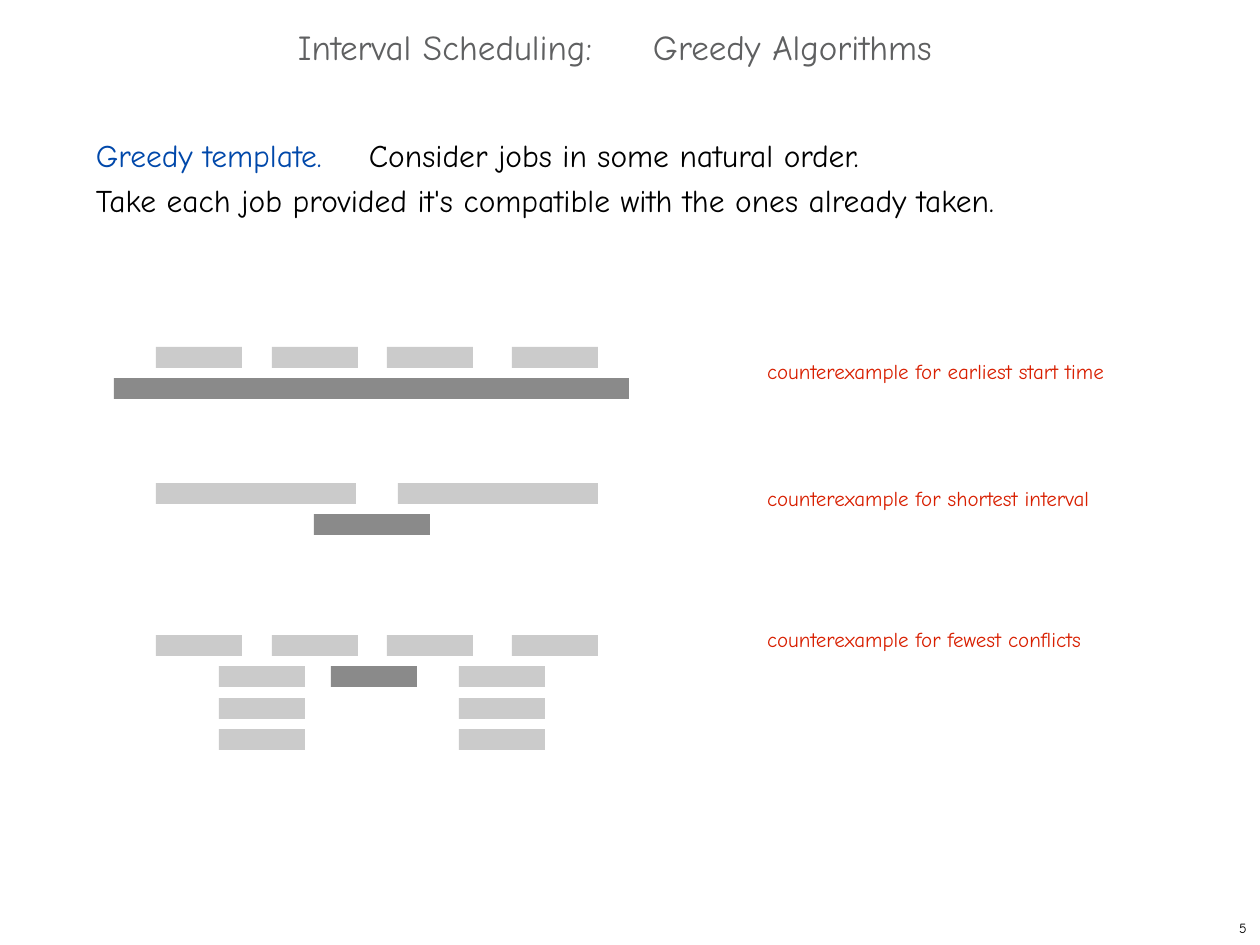
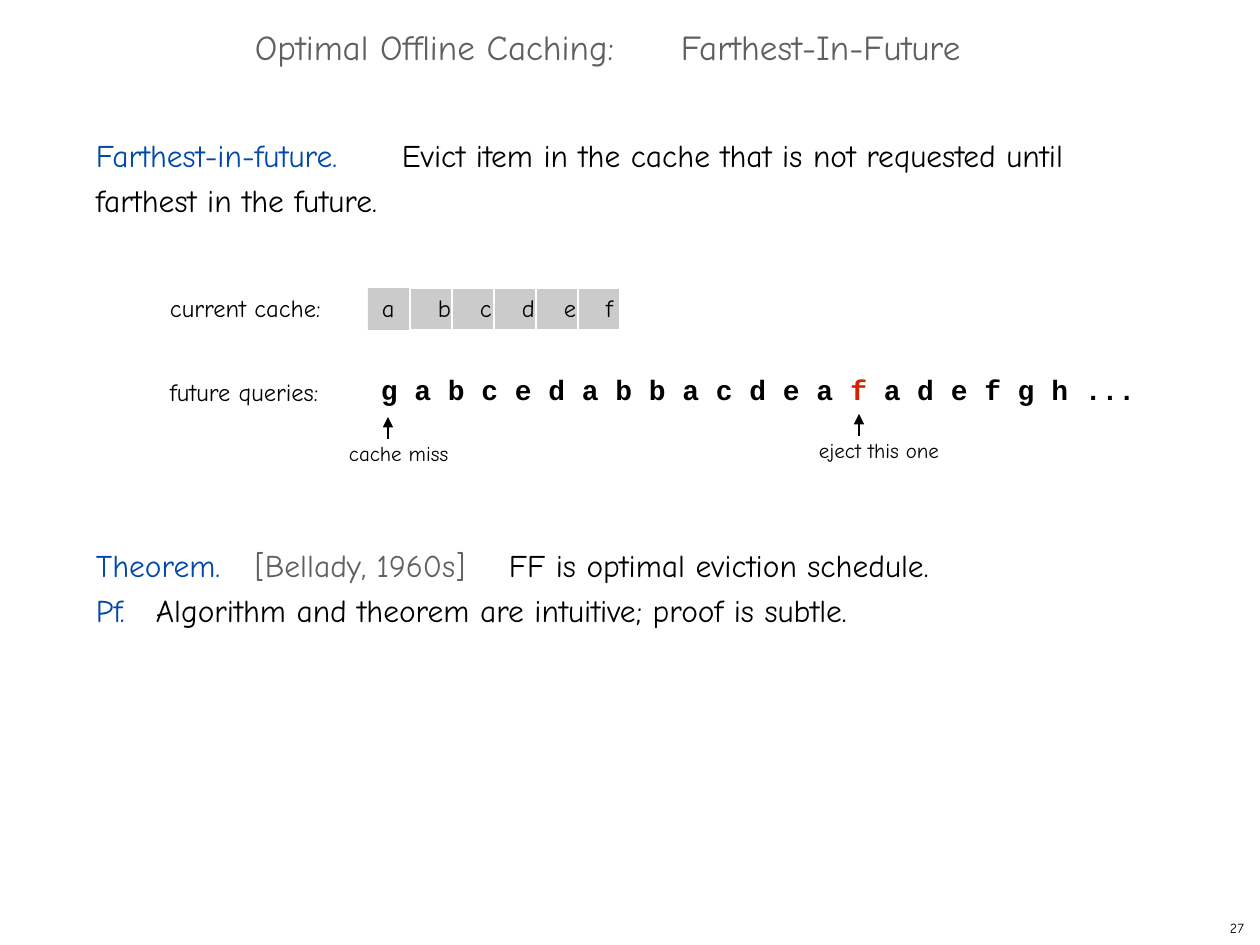
from lxml import etree
from pptx import Presentation
from pptx import util as u
from pptx.dml.color import RGBColor
from pptx.enum import shapes, text
from pptx.oxml.ns import qn

PX = u.Inches(1) / 126
BLACK = RGBColor(0, 0, 0)
WHITE = RGBColor(0xFF, 0xFF, 0xFF)
GRAY = RGBColor(0x5F, 0x60, 0x61)
BLUE = RGBColor(0x00, 0x48, 0xAA)
RED = RGBColor(0xD8, 0x1F, 0x00)
LIGHT = RGBColor(0xCB, 0xCB, 0xCB)
DARK = RGBColor(0x8A, 0x8A, 0x8A)
FONT = "Comic Neue"
MONO = "Courier New"


def px(*lengths):
    return [round(n * PX) for n in lengths]


def write(shape, box, *paras, size=18, color=BLACK, font=FONT, bold=False,
          tabs=(), lines=None, left=1, top=1):
    """Place a text shape; each paragraph is a string or a list of (text, colour)."""
    shape.left, shape.top, shape.width, shape.height = px(*box)
    frame = shape.text_frame
    frame.word_wrap = True
    frame.auto_size = text.MSO_AUTO_SIZE.NONE
    frame.vertical_anchor = text.MSO_ANCHOR.TOP
    frame.margin_left, frame.margin_top = px(left, top)
    frame.margin_right = frame.margin_bottom = 0
    for i, runs in enumerate(paras):
        para = frame.add_paragraph() if i else frame.paragraphs[0]
        if tabs:
            stops = etree.SubElement(para._p.get_or_add_pPr(), qn("a:tabLst"))
            for pos in px(*tabs):
                etree.SubElement(stops, qn("a:tab"), pos=str(pos), algn="l")
        para.alignment = text.PP_ALIGN.LEFT
        para.line_spacing = lines
        for words, tint in [(runs, color)] if isinstance(runs, str) else runs:
            run = para.add_run()
            run.text = words
            run.font.name = font
            run.font.size = u.Pt(size)
            run.font.bold = bold
            run.font.color.rgb = tint


deck = Presentation()
deck.slide_width, deck.slide_height = px(1260, 945)

# Title, opening text and page number of each slide
heads = [
    ("Interval Scheduling:\tGreedy Algorithms", (297, 24, 664, 45), 355,
     [[("Greedy template.\t", BLUE), ("Consider jobs in some natural order.", BLACK)],
      "Take each job provided it's compatible with the ones already taken."],
     273, "5", 1234),
    ("Optimal Offline Caching:\tFarthest-In-Future", (254, 24, 750, 45), 426,
     [[("Farthest-in-future.\t", BLUE),
       ("Evict item in the cache that is not requested until farthest in the future.",
        BLACK)]],
     306, "27", 1225),
]
slides = []
for title, box, stop, body, tab, page, x in heads:
    slide = deck.slides.add_slide(deck.slide_layouts[5])
    write(slide.shapes.title, box, title, size=20, color=GRAY, tabs=[stop])
    write(slide.shapes.add_textbox(0, 0, 0, 0), (95, 127, 1043, 95), *body,
          tabs=[tab], lines=1.2)
    write(slide.shapes.add_textbox(0, 0, 0, 0), (x, 917, 30, 23), page,
          size=8, left=5, top=3)
    slides.append(slide)
greedy, cache = slides

# Counterexamples: each job is row, left, width, fill
four = [(0, x, 86, LIGHT) for x in (156, 272, 387, 512)]
stacks = [(row, x, 86, LIGHT) for row in (1, 2, 3) for x in (219, 459)]
cases = [
    ("earliest start time", 358, 347, four + [(1, 114, 515, DARK)]),
    ("shortest interval", 485, 483,
     [(0, 156, 200, LIGHT), (0, 398, 200, LIGHT), (1, 314, 116, DARK)]),
    ("fewest conflicts", 626, 635, four + stacks + [(1, 331, 86, DARK)]),
]
for rule, y, top, jobs in cases:
    for row, x, wide, fill in jobs:
        job = greedy.shapes.add_shape(shapes.MSO_SHAPE.RECTANGLE,
                                      *px(x, top + row * 63 // 2, wide, 21))
        job.shadow.inherit = False
        job.fill.solid()
        job.fill.fore_color.rgb = fill
        job.line.fill.background()
    write(greedy.shapes.add_textbox(0, 0, 0, 0), (766, y, 386, 29),
          "counterexample for " + rule, size=12, color=RED)

# Cache cells
CELL = 42
for i in range(6):
    cell = cache.shapes.add_shape(shapes.MSO_SHAPE.RECTANGLE,
                                  *px(368 + i * CELL, 288, CELL, CELL))
    cell.shadow.inherit = False
    cell.fill.solid()
    cell.fill.fore_color.rgb = LIGHT
    if i:
        cell.line.color.rgb = WHITE
        cell.line.width = u.Pt(0.72)
    else:
        cell.line.fill.background()
write(cache.shapes.add_textbox(0, 0, 0, 0), (368, 288, 6 * CELL, CELL),
      "\t".join("abcdef"), size=14, left=14, top=5,
      tabs=[14 + i * CELL for i in range(1, 6)])

# Queries and their labels
write(cache.shapes.add_textbox(0, 0, 0, 0), (380, 372, 765, 38),
      [("g a b c e d a b b a c d e a ", BLACK), ("f ", RED),
       ("a d e f g h ...", BLACK)], size=16, font=MONO, bold=True)
for label, y in [("current cache:", 292), ("future queries:", 376)]:
    write(cache.shapes.add_textbox(0, 0, 0, 0), (169, y, 175, 33), label, size=14)
for label, x, y, tip in [("cache miss", 348, 440, 388), ("eject this one", 818, 437, 859)]:
    write(cache.shapes.add_textbox(0, 0, 0, 0), (x, y, 140, 29), label, size=12)
    arrow = cache.shapes.add_connector(shapes.MSO_CONNECTOR.STRAIGHT,
                                       *px(tip, y - 1, tip, y - 23))
    arrow.line.color.rgb = BLACK
    arrow.line.width = u.Pt(0.72)
    etree.SubElement(arrow.line._get_or_add_ln(), qn("a:tailEnd"), type="triangle")
    etree.SubElement(arrow._element.spPr, qn("a:effectLst"))

# Theorem
write(cache.shapes.add_textbox(0, 0, 0, 0), (95, 537, 872, 95),
      [("Theorem.\t", BLUE), ("[Bellady, 1960s]\t", GRAY),
       ("FF is optimal eviction schedule.", BLACK)],
      [("Pf.\t", BLUE), ("Algorithm and theorem are intuitive; proof is subtle.", BLACK)],
      tabs=[60, 159, 413], lines=1.2)

deck.save("out.pptx")
